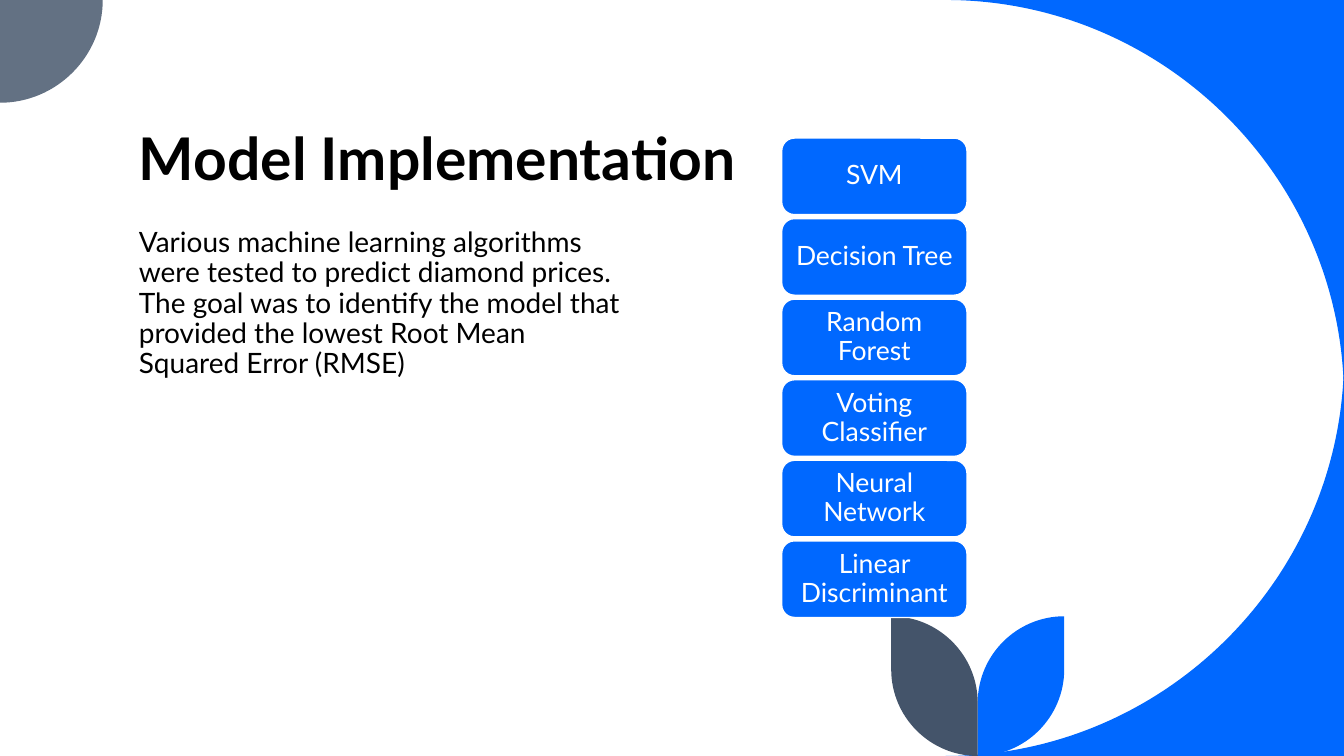
"""Build the model implementation slide."""
from dataclasses import dataclass

from lxml.etree import SubElement
from pptx import Presentation
from pptx.dml.color import RGBColor as Rgb
from pptx.enum.shapes import MSO_SHAPE as Kind
from pptx.enum.text import MSO_ANCHOR as Anchor, MSO_AUTO_SIZE as Fit, PP_ALIGN as Align
from pptx.oxml.ns import qn
from pptx.shapes.base import BaseShape as Shape
from pptx.slide import Slide
from pptx.util import Cm, Pt

Dot = tuple[float, float]

HUES = {"blue": "0068FF", "gray": "637183", "slate": "44546A",
        "white": "FFFFFF", "black": "000000"}
WIDE, HIGH = 33.87, 19.05
SWEEP, ROUND, LEAF = 10.04, 2.59, 2.18
STEM, TIP = 24.64, 15.53
BEND = 0.55

MODELS = ["SVM", "Decision Tree", "Random Forest", "Voting Classifier",
          "Neural Network", "Linear Discriminant"]
CARD_X, CARD_Y, CARD_W, CARD_H, PITCH = 19.7, 3.48, 4.67, 1.93, 2.03
GOAL = ("Various machine learning algorithms were tested to predict diamond prices. "
        "The goal was to identify the model that provided the lowest "
        "Root Mean Squared Error (RMSE)")


@dataclass
class Step:
    """A straight step, or a quarter curve that rounds off a corner."""
    end: Dot
    corner: Dot | None = None

    def dots(self, start: Dot) -> list[Dot]:
        """Return the end, after the two control points of a curve."""
        if self.corner is None:
            return [self.end]
        return [pull(start, self.corner), pull(self.end, self.corner), self.end]


@dataclass
class Petal:
    """A filled outline in centimetres."""
    hue: str
    start: Dot
    steps: list[Step]


def pull(dot: Dot, goal: Dot) -> Dot:
    """Move a point towards a corner by the share that gives a round curve."""
    return dot[0] + BEND * (goal[0] - dot[0]), dot[1] + BEND * (goal[1] - dot[1])


def leaf(hue: str, side: int) -> Petal:
    """Describe a leaf to the right (1) or left (-1) of the stem."""
    edge = STEM + side * LEAF
    return Petal(hue, (edge, TIP), [
        Step((edge, HIGH - LEAF)),
        Step((STEM, HIGH), (edge, HIGH)),
        Step((STEM, TIP + LEAF)),
        Step((edge, TIP), (STEM, TIP))])


PETALS = [
    Petal("blue", (WIDE, 0), [Step((WIDE - SWEEP, 0)), Step((WIDE, SWEEP), (WIDE, 0))]),
    Petal("blue", (WIDE, HIGH - SWEEP),
          [Step((WIDE - SWEEP, HIGH), (WIDE, HIGH)), Step((WIDE, HIGH))]),
    Petal("gray", (0, 0), [Step((ROUND, 0)), Step((0, ROUND), (ROUND, ROUND))]),
    leaf("blue", 1),
    leaf("slate", -1),
]


def tint(hue: str) -> Rgb:
    """Return a named colour."""
    return Rgb.from_string(HUES[hue])


def curve(form: Shape, steps: list[Step]) -> None:
    """Turn each run of three lines that stands for a curve into a Bezier."""
    lines = iter(list(form.element.iter(qn("a:lnTo"))))
    for step in steps:
        first = next(lines)
        if step.corner is None:
            continue
        track = first.getparent()
        arc = SubElement(track, qn("a:cubicBezTo"))
        first.addprevious(arc)
        for line in (first, next(lines), next(lines)):
            arc.append(line[0])
            track.remove(line)


def draw(slide: Slide, petal: Petal) -> None:
    """Draw a filled outline."""
    last, dots = petal.start, []
    for step in petal.steps:
        dots += step.dots(last)
        last = step.end
    pen = slide.shapes.build_freeform(*map(Cm, petal.start))
    pen.add_line_segments([(Cm(x), Cm(y)) for x, y in dots], close=True)
    form = pen.convert_to_shape()
    curve(form, petal.steps)
    form.shadow.inherit = False
    form.fill.solid()
    form.fill.fore_color.rgb = tint(petal.hue)
    form.line.fill.background()


def write(shape: Shape, text: str, *, size: float, hue: str = "black",
          bold: bool = False, align: Align = Align.LEFT, anchor: Anchor = Anchor.TOP,
          lead: float = 0.9, before: float = 0, pad: Dot = (0.25, 0.13)) -> None:
    """Fill a shape with one formatted paragraph."""
    frame = shape.text_frame
    frame.word_wrap = True
    frame.auto_size = Fit.NONE
    frame.vertical_anchor = anchor
    frame.margin_left = frame.margin_right = Cm(pad[0])
    frame.margin_top = frame.margin_bottom = Cm(pad[1])
    para = frame.paragraphs[0]
    para.alignment = align
    para.line_spacing = lead
    para.space_before = Pt(before)
    run = para.add_run()
    run.text = text
    run.font.name = "Lato"
    run.font.size = Pt(size)
    run.font.bold = bold
    run.font.color.rgb = tint(hue)


def card(slide: Slide, row: int, name: str) -> None:
    """Draw one model card in the column."""
    box = slide.shapes.add_shape(Kind.ROUNDED_RECTANGLE, Cm(CARD_X),
                                 Cm(CARD_Y + row * PITCH), Cm(CARD_W), Cm(CARD_H))
    box.shadow.inherit = False
    box.fill.solid()
    box.fill.fore_color.rgb = tint("blue")
    box.line.color.rgb = tint("white")
    box.line.width = Pt(1)
    write(box, name, size=19, hue="white", align=Align.CENTER,
          anchor=Anchor.MIDDLE, pad=(0.19, 0.1))


def main() -> None:
    """Build and save the deck."""
    deck = Presentation()
    deck.slide_width, deck.slide_height = Cm(WIDE), Cm(HIGH)
    slide = deck.slides.add_slide(deck.slide_layouts[5])
    for petal in PETALS:
        draw(slide, petal)
    title = slide.shapes.title
    title.left, title.top, title.width, title.height = Cm(3.25), Cm(0.37), Cm(26.67), Cm(4.6)
    write(title, "Model Implementation", size=42, bold=True, anchor=Anchor.BOTTOM, lead=0.8)
    body = slide.shapes.add_textbox(Cm(3.25), Cm(5.63), Cm(12.95), Cm(9.25))
    write(body, GOAL, size=20, before=10)
    for row, name in enumerate(MODELS):
        card(slide, row, name)
    deck.save("out.pptx")


if __name__ == "__main__":
    main()
